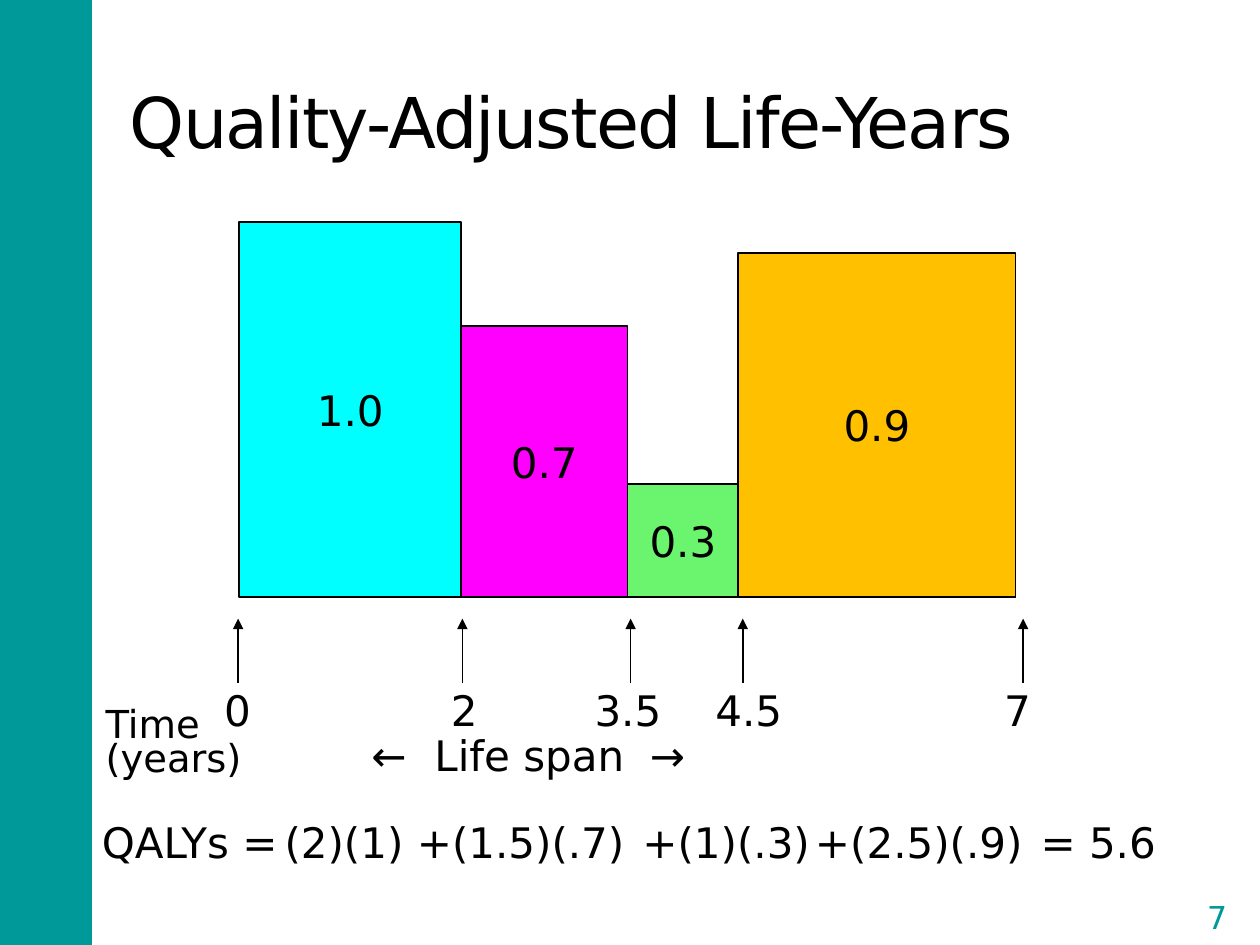
from dataclasses import dataclass

from lxml import etree
from pptx import Presentation
from pptx.dml.color import RGBColor
from pptx.enum import shapes, text
from pptx.oxml import ns
from pptx.util import Inches, Pt


@dataclass(frozen=True)
class Theme:
    font: str = "DejaVu Sans"
    ink: str = "000000"
    paper: str = "FFFFFF"
    accent: str = "009999"
    title: int = 40
    body: int = 24
    axis: int = 22
    number: int = 18


@dataclass(frozen=True)
class Period:
    quality: str
    start: float
    end: float
    top: float
    color: str


@dataclass(frozen=True)
class Label:
    text: str
    left: float
    width: float


THEME = Theme()
BASELINE = 4.74
PERIODS = [
    Period("1.0", 0, 2, 1.76, "00FFFF"),
    Period("0.7", 2, 3.5, 2.59, "FF00FF"),
    Period("0.3", 3.5, 4.5, 3.84, "6BF46E"),
    Period("0.9", 4.5, 7, 2.01, "FFC000"),
]
TICKS = [
    Label("0", 1.68, 0.41),
    Label("2", 3.48, 0.41),
    Label("3.5", 4.62, 0.75),
    Label("4.5", 5.58, 0.75),
    Label("7", 7.87, 0.41),
]
TERMS = [
    Label("QALYs =", 0.71, 1.75),
    Label("(2)(1)", 2.16, 1.38),
    Label("+(1.5)(.7)", 3.21, 2.05),
    Label("+(1)(.3)", 5, 1.71),
    Label("+(2.5)(.9)", 6.37, 2.07),
    Label("= 5.6", 8.16, 2.08),
]


def rgb(color: str) -> RGBColor:
    return RGBColor.from_string(color)


def format_text(tf, size: int, color: str = THEME.ink) -> None:
    for p in tf.paragraphs:
        for r in p.runs:
            r.font.name = THEME.font
            r.font.size = Pt(size)
            r.font.color.rgb = rgb(color)


def add_box(s, kind, left: float, top: float, width: float, height: float):
    sp = s.shapes.add_shape(kind, Inches(left), Inches(top), Inches(width), Inches(height))
    sp.shadow.inherit = False
    return sp


def center_text(sp, content: str, size: int, color: str) -> None:
    tf = sp.text_frame
    tf.text = content
    tf.vertical_anchor = text.MSO_ANCHOR.MIDDLE
    tf.paragraphs[0].alignment = text.PP_ALIGN.CENTER
    format_text(tf, size, color)


def add_period(s, period: Period) -> None:
    years = period.end - period.start
    sp = add_box(s, shapes.MSO_SHAPE.RECTANGLE, 1.9 + 0.88 * period.start, period.top,
                 0.88 * years, BASELINE - period.top)
    sp.fill.solid()
    sp.fill.fore_color.rgb = rgb(period.color)
    sp.line.color.rgb = rgb(THEME.ink)
    sp.line.width = Pt(1)
    sp.text_frame.word_wrap = False
    center_text(sp, period.quality, THEME.body, THEME.ink)


def add_line(s, x1: float, y1: float, x2: float, y2: float, arrow: bool = False) -> None:
    cx = s.shapes.add_connector(shapes.MSO_CONNECTOR.STRAIGHT,
                                Inches(x1), Inches(y1), Inches(x2), Inches(y2))
    cx.line.color.rgb = rgb(THEME.ink)
    cx.line.width = Pt(1)
    if arrow:
        etree.SubElement(cx.line._get_or_add_ln(), ns.qn("a:tailEnd"), type="triangle")
    etree.SubElement(cx._element.spPr, ns.qn("a:effectLst"))


def add_label(s, label: Label, top: float, height: float, size: int = THEME.body,
              spacing: float = 1.0, wrap: bool = True, tabs: tuple[float, ...] = ()) -> None:
    """Add a text box; tabs are stop positions in inches."""
    sp = s.shapes.add_textbox(Inches(label.left), Inches(top),
                              Inches(label.width), Inches(height))
    tf = sp.text_frame
    tf.text = label.text
    tf.word_wrap = wrap
    tf.auto_size = text.MSO_AUTO_SIZE.SHAPE_TO_FIT_TEXT
    for p in tf.paragraphs:
        p.line_spacing = spacing
        if tabs:
            stops = etree.SubElement(p._p.get_or_add_pPr(), ns.qn("a:tabLst"))
            for stop in tabs:
                etree.SubElement(stops, ns.qn("a:tab"), pos=str(Inches(stop)), algn="l")
    format_text(tf, size)


def add_title(s, content: str) -> None:
    sp = s.shapes.title
    sp.left, sp.top, sp.width, sp.height = Inches(0.93), Inches(0.42), Inches(8), Inches(1.08)
    tf = sp.text_frame
    tf.text = content
    tf.auto_size = text.MSO_AUTO_SIZE.NONE
    tf.vertical_anchor = text.MSO_ANCHOR.MIDDLE
    p = tf.paragraphs[0]
    p.alignment = text.PP_ALIGN.LEFT
    format_text(tf, THEME.title)
    p.runs[0]._r.get_or_add_rPr().set("spc", "-100")


def add_side_band(s) -> None:
    sp = add_box(s, shapes.MSO_SHAPE.RECTANGLE, -0.02, 0, 0.75, 7.5)
    sp.fill.solid()
    sp.fill.fore_color.rgb = rgb(THEME.accent)
    sp.line.fill.background()


def add_page_number(s, number: str) -> None:
    sp = add_box(s, shapes.MSO_SHAPE.DOUBLE_BRACKET, 9.36, 7.06, 0.6, 0.43)
    sp.adjustments[0] = 0.18
    sp.fill.background()
    sp.line.color.rgb = rgb(THEME.paper)
    sp.line.width = Pt(1.5)
    tf = sp.text_frame
    tf.margin_left = tf.margin_right = tf.margin_top = tf.margin_bottom = 0
    center_text(sp, number, THEME.number, THEME.accent)


def main() -> None:
    prs = Presentation()
    prs.slide_width, prs.slide_height = Inches(10), Inches(7.5)
    s = prs.slides.add_slide(prs.slide_layouts[5])
    add_side_band(s)
    add_title(s, "Quality-Adjusted Life-Years")
    add_page_number(s, "7")

    for period in PERIODS:
        add_period(s, period)
    add_line(s, 1.92, BASELINE, 8.06, BASELINE)

    for tick in TICKS:
        x = 1.89 + 0.89 * float(tick.text)
        add_line(s, x, 5.42, x, 4.91, arrow=True)
        add_label(s, tick, 5.48, 0.4, spacing=0.75, wrap=False)
    add_label(s, Label("Time\n(years)", 0.74, 1.52), 5.59, 0.65, THEME.axis, spacing=0.75)
    add_label(s, Label("←\tLife span\t→", 2.85, 4), 5.74, 0.5, tabs=(0.5, 2.21))

    for term in TERMS:
        add_label(s, term, 6.43, 0.5)
    prs.save("out.pptx")


if __name__ == "__main__":
    main()
